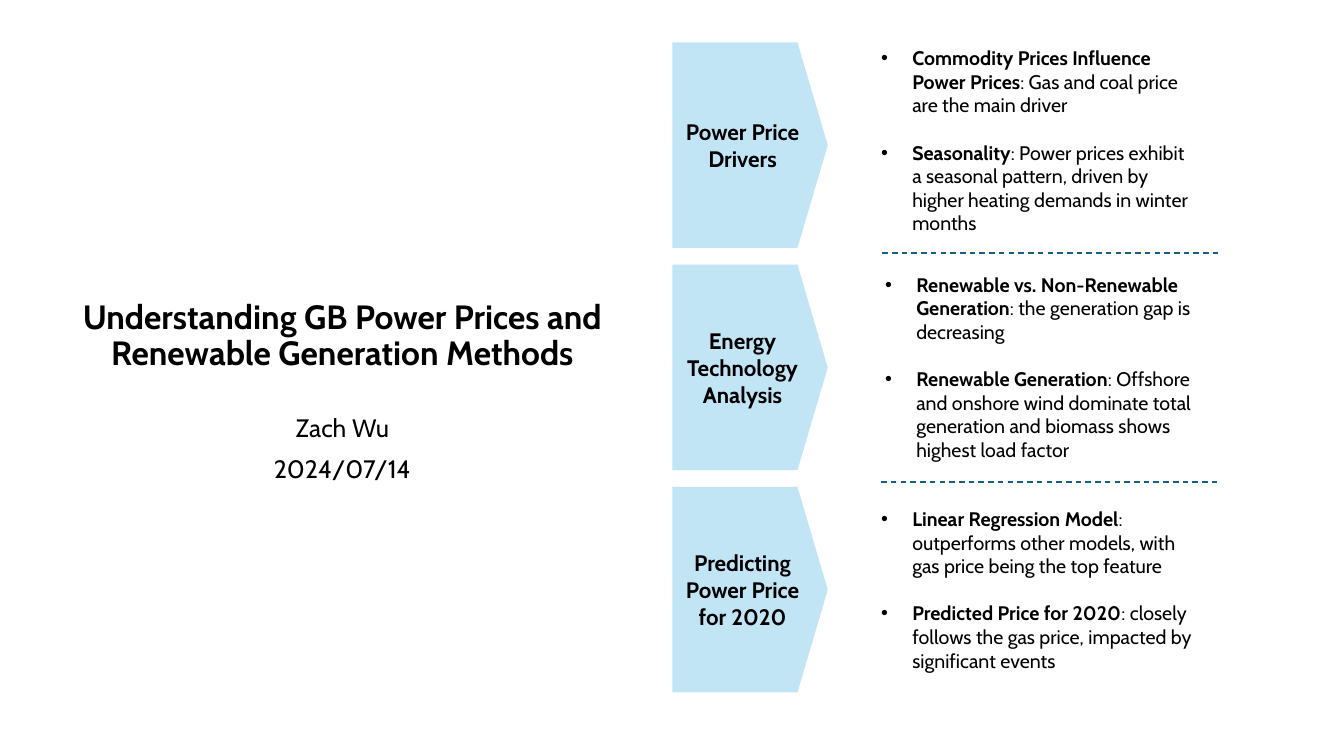
from dataclasses import dataclass

from lxml import etree
from pptx import Presentation
from pptx.dml.color import RGBColor
from pptx.enum import dml, shapes, text
from pptx.oxml.ns import qn
from pptx.util import Inches, Pt


@dataclass(frozen=True)
class Theme:
    font: str = "Cabin"
    ink: RGBColor = RGBColor(0, 0, 0)
    arrow: RGBColor = RGBColor(0xC1, 0xE5, 0xF5)
    divider: RGBColor = RGBColor(0x15, 0x60, 0x82)
    title: int = 24
    byline: int = 18
    topic: int = 16
    note: int = 14


THEME = Theme()

# Topic, note box (offset from the topic's column and top, width, height), notes
TOPICS = [
    ("Power Price Drivers", (1.97, -0.01, 3.33, 1.99), [
        ("Commodity Prices Influence Power Prices",
         ": Gas and coal price are the main driver"),
        ("Seasonality",
         ": Power prices exhibit a seasonal pattern, driven by higher heating "
         "demands in winter months")]),
    ("Energy Technology Analysis", (2.01, 0.03, 3.44, 1.99), [
        ("Renewable vs. Non-Renewable Generation",
         ": the generation gap is decreasing"),
        ("Renewable Generation",
         ": Offshore and onshore wind dominate total generation and biomass "
         "shows highest load factor")]),
    ("Predicting Power Price for 2020", (1.97, 0.15, 3.33, 1.75), [
        ("Linear Regression Model",
         ": outperforms other models, with gas price being the top feature"),
        ("Predicted Price for 2020",
         ": closely follows the gas price, impacted by significant events")]),
]


def style_run(run, size, bold=False):
    run.font.name = THEME.font
    run.font.size = Pt(size)
    run.font.bold = bold
    run.font.color.rgb = THEME.ink


def add_text_frame(slide, box, anchor=text.MSO_ANCHOR.TOP):
    frame = slide.shapes.add_textbox(*map(Inches, box)).text_frame
    frame.word_wrap = True
    frame.vertical_anchor = anchor
    return frame


def write_centred(frame, wording, size, bold=False, spacing=None):
    frame.text = wording
    for index, paragraph in enumerate(frame.paragraphs):
        paragraph.alignment = text.PP_ALIGN.CENTER
        paragraph.line_spacing = spacing
        if index:
            paragraph.space_before = Pt(10)
        for run in paragraph.runs:
            style_run(run, size, bold)


def add_heading(slide, left, top, width, height):
    """Title above, author and date below, on one centre line."""
    title = add_text_frame(slide, (left, top, width, height), text.MSO_ANCHOR.BOTTOM)
    write_centred(title, "Understanding GB Power Prices and Renewable Generation Methods",
                  THEME.title, True, 0.9)
    byline_width = 1.85
    byline = add_text_frame(slide, (left + (width - byline_width) / 2,
                                    top + height + 0.32, byline_width, 1.81))
    write_centred(byline, "Zach Wu\n2024/07/14", THEME.byline, spacing=0.9)


def add_topic(slide, left, top, width, height, topic):
    arrow = slide.shapes.add_shape(shapes.MSO_SHAPE.PENTAGON,
                                   *map(Inches, (left, top, width, height)))
    arrow.adjustments[0] = 0.195
    arrow.shadow.inherit = False
    arrow.fill.solid()
    arrow.fill.fore_color.rgb = THEME.arrow
    arrow.line.fill.background()
    arrow.text_frame.word_wrap = True
    arrow.text_frame.vertical_anchor = text.MSO_ANCHOR.MIDDLE
    write_centred(arrow.text_frame, topic, THEME.topic, True)


def add_notes(slide, box, notes):
    frame = add_text_frame(slide, box)
    frame.text = "\n".join(lead for lead, _ in notes)
    for index, (paragraph, (_, detail)) in enumerate(zip(frame.paragraphs, notes)):
        style_run(paragraph.runs[0], THEME.note, True)
        rest = paragraph.add_run()
        rest.text = detail
        style_run(rest, THEME.note)
        if index:
            paragraph.space_before = Pt(17)
        # Hanging bullet
        properties = paragraph._p.get_or_add_pPr()
        properties.set("marL", str(Inches(0.31)))
        properties.set("indent", str(-Inches(0.31)))
        etree.SubElement(properties, qn("a:buFont")).set("typeface", "Arial")
        etree.SubElement(properties, qn("a:buChar")).set("char", "•")


def add_divider(slide, left, top, width):
    divider = slide.shapes.add_connector(
        shapes.MSO_CONNECTOR.STRAIGHT, *map(Inches, (left, top, left + width, top)))
    divider.line.color.rgb = THEME.divider
    divider.line.width = Pt(1)
    divider.line.dash_style = dml.MSO_LINE.DASH
    etree.SubElement(divider._element.spPr, qn("a:effectLst"))


def add_overview(slide, left, top, height):
    """Column of topic arrows, each with its notes, and dividers between."""
    arrow_width, arrow_height = 1.54, 2.04
    pitch = (height - arrow_height) / (len(TOPICS) - 1)
    for index, (topic, (dx, dy, width, note_height), notes) in enumerate(TOPICS):
        row_top = top + index * pitch
        add_topic(slide, left, row_top, arrow_width, arrow_height, topic)
        add_notes(slide, (left + dx, row_top + dy, width, note_height), notes)
    for dx, dy in ((2.08, 2.09), (2.07, 4.36)):
        add_divider(slide, left + dx, top + dy, 3.36)


def main():
    deck = Presentation()
    deck.slide_width, deck.slide_height = Inches(13.33), Inches(7.5)
    slide = deck.slides.add_slide(deck.slide_layouts[6])
    add_heading(slide, 0.55, 1.14, 5.69, 2.61)
    add_overview(slide, 6.67, 0.42, 6.45)
    deck.save("out.pptx")


if __name__ == "__main__":
    main()
